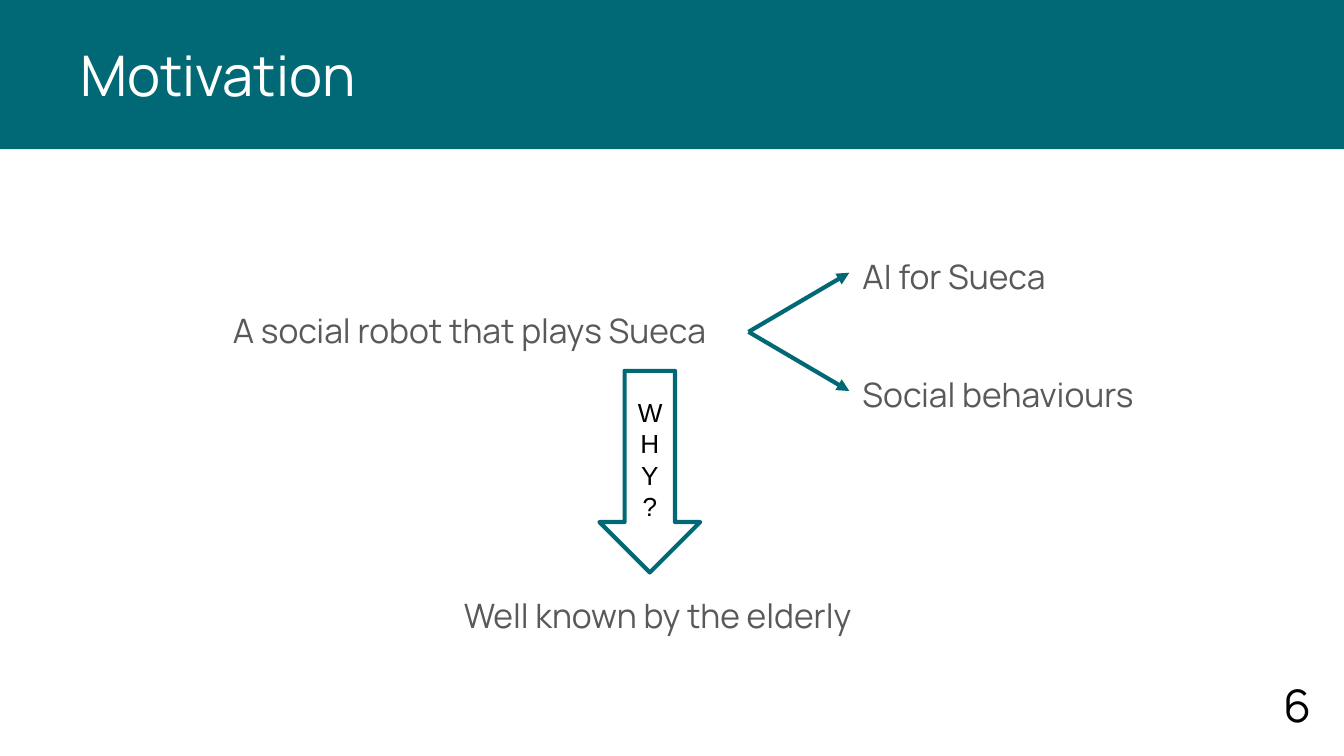
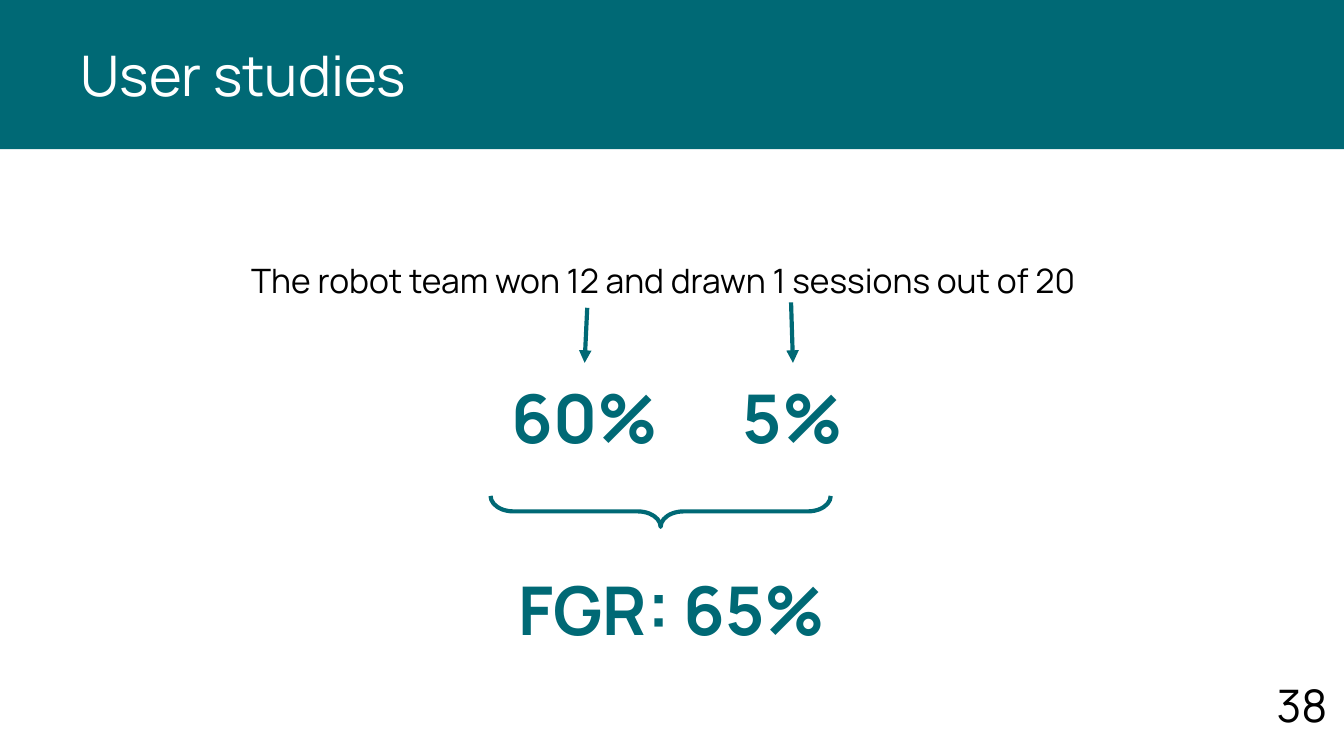
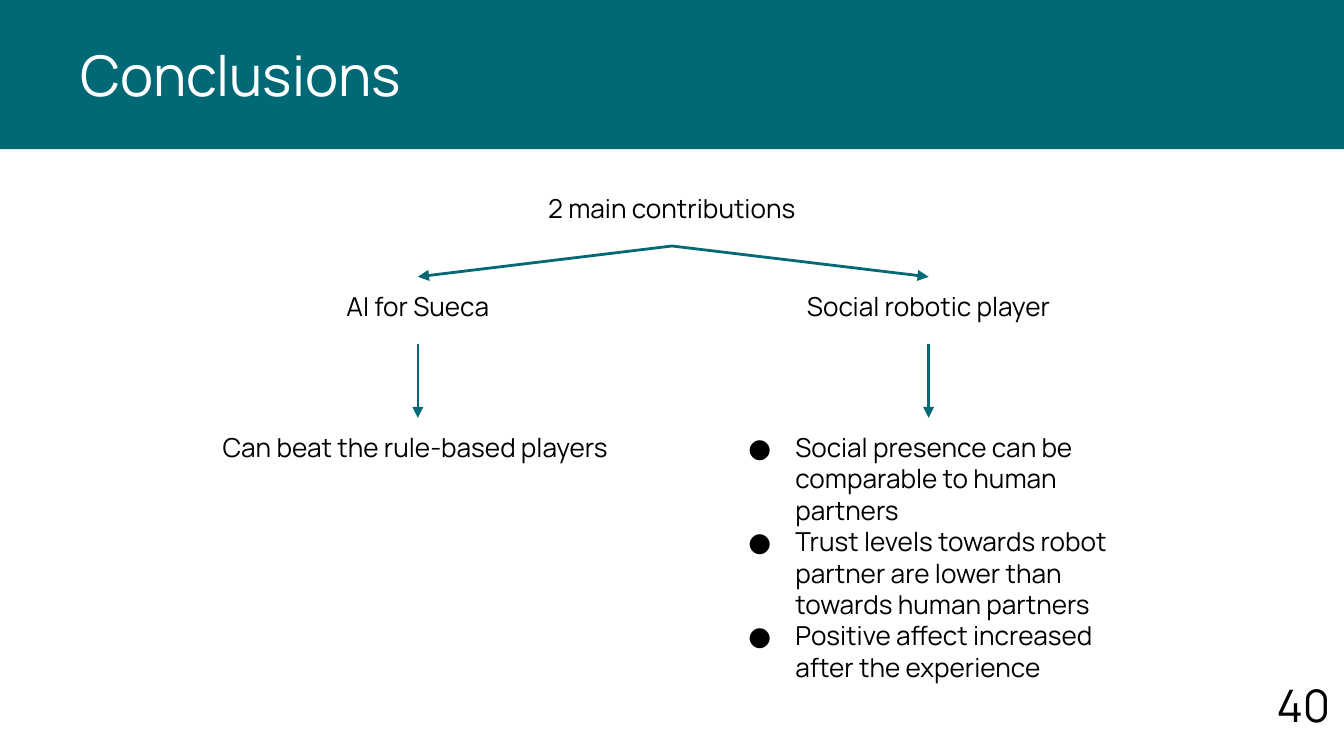
from lxml import etree
from pptx import Presentation
from pptx.dml.color import RGBColor
from pptx.enum.shapes import MSO_CONNECTOR as LINE, MSO_SHAPE as SHAPE
from pptx.enum.text import MSO_ANCHOR as ANCHOR, PP_ALIGN as ALIGN
from pptx.oxml import parse_xml
from pptx.oxml.ns import nsdecls, qn
from pptx.util import Pt

TEAL = RGBColor(0x00, 0x69, 0x75)
GREY = RGBColor(0x59, 0x59, 0x59)
BLACK = RGBColor(0x00, 0x00, 0x00)
WHITE = RGBColor(0xFF, 0xFF, 0xFF)
FONT = "Manrope"
PAGE_WIDTH, PAGE_HEIGHT, BAND_HEIGHT = 720, 405, 79.9
TOP, LEFT, BOTTOM, RIGHT = range(4)


def write_text(box, lines, size, color, align=ALIGN.CENTER, anchor=ANCHOR.TOP,
               bold=False, font=FONT, spacing=None):
    """Fill a shape or text box with one paragraph per line and return it."""
    frame = box.text_frame
    frame.word_wrap = True
    frame.vertical_anchor = anchor
    frame.margin_left = frame.margin_right = Pt(7.2)
    frame.margin_top = frame.margin_bottom = Pt(7.2)
    for index, line in enumerate(lines):
        para = frame.add_paragraph() if index else frame.paragraphs[0]
        para.alignment = align
        if spacing:
            para.line_spacing = spacing
        span = para.add_run()
        span.text = line
        span.font.name = font
        span.font.size = Pt(size)
        span.font.bold = bold
        span.font.color.rgb = color
    return box


def add_arrow(page, weight, target, target_side, source=None, source_side=BOTTOM, start=(0, 0)):
    """Point at a side of target, from a side of source or from a free start point."""
    arrow = page.shapes.add_connector(LINE.STRAIGHT, Pt(start[0]), Pt(start[1]), 0, 0)
    if source is not None:
        arrow.begin_connect(source, source_side)
    arrow.end_connect(target, target_side)
    arrow.line.color.rgb = TEAL
    arrow.line.width = Pt(weight)
    etree.SubElement(arrow.line._get_or_add_ln(), qn("a:tailEnd"), type="triangle")
    etree.SubElement(arrow._element.spPr, qn("a:effectLst"))


deck = Presentation()
deck.slide_width = Pt(PAGE_WIDTH)
deck.slide_height = Pt(PAGE_HEIGHT)

# Shared title band and page number
pages = []
for title, number, number_width in [
    ("Motivation", "6", 39.6),
    ("User studies", "38", 43.2),
    ("Conclusions", "40", 43.2),
]:
    page = deck.slides.add_slide(deck.slide_layouts[6])
    band = page.shapes.add_shape(SHAPE.RECTANGLE, 0, 0, Pt(PAGE_WIDTH), Pt(BAND_HEIGHT))
    band.shadow.inherit = False
    band.fill.solid()
    band.fill.fore_color.rgb = TEAL
    band.line.fill.background()
    write_text(band, [title], 30, WHITE, ALIGN.LEFT, ANCHOR.MIDDLE)
    band.text_frame.paragraphs[0]._p.get_or_add_pPr().set("indent", str(Pt(36)))
    number_box = page.shapes.add_textbox(
        Pt(PAGE_WIDTH - number_width), Pt(355.7), Pt(number_width), Pt(49))
    write_text(number_box, [number], 24, BLACK, ALIGN.LEFT)
    pages.append(page)
motivation, studies, conclusions = pages

# Motivation
robot, known = [
    write_text(motivation.shapes.add_textbox(Pt(left), Pt(top), Pt(298.8), Pt(44.6)),
               [line], 18, GREY, spacing=1.15)
    for line, left, top in [
        ("A social robot that plays Sueca", 102.2, 155.5),
        ("Well known by the elderly", 203, 308.2),
    ]
]
for line, top in [("AI for Sueca", 123.8), ("Social behaviours", 187.2)]:
    part = motivation.shapes.add_textbox(Pt(455), Pt(top), Pt(162.7), Pt(44.6))
    write_text(part, [line], 18, GREY, ALIGN.LEFT, ANCHOR.MIDDLE, spacing=1.15)
    add_arrow(motivation, 2.25, part, LEFT, robot, RIGHT)

why = motivation.shapes.add_shape(SHAPE.DOWN_ARROW, Pt(321.1), Pt(198.7), Pt(54), Pt(108))
write_text(why, "WHY?", 14, BLACK, anchor=ANCHOR.MIDDLE, font="Arial")

# User studies
sentence = studies.shapes.add_textbox(Pt(58.3), Pt(131.8), Pt(594), Pt(49.7))
write_text(sentence, ["The robot team won 12 and drawn 1 sessions out of 20"], 18, BLACK)
for share, left, start in [("60%", 262.8, (314.6, 164.9)), ("5%", 374.4, (423.8, 162))]:
    share_box = studies.shapes.add_textbox(Pt(left), Pt(194.4), Pt(100.8), Pt(57.6))
    write_text(share_box, [share], 36, TEAL, bold=True)
    add_arrow(studies, 2.25, share_box, TOP, start=start)
total = studies.shapes.add_textbox(Pt(239), Pt(297.4), Pt(241.9), Pt(57.6))
write_text(total, ["FGR: 65%"], 36, TEAL, bold=True)

brace = studies.shapes.add_shape(SHAPE.RIGHT_BRACE, Pt(345.6), Pt(182.9), Pt(16.6), Pt(182.2))
brace.rotation = 90
brace.adjustments[0] = 0.74
brace.adjustments[1] = 0.5

for outline in (why, brace):
    outline.shadow.inherit = False
    outline.fill.background()
    outline.line.color.rgb = TEAL
    outline.line.width = Pt(2.25)

# Conclusions
contributions = conclusions.shapes.add_textbox(Pt(223.2), Pt(95.8), Pt(273.6), Pt(36))
write_text(contributions, ["2 main contributions"], 14, BLACK)
for column, (heading, findings, height, align) in enumerate([
    ("AI for Sueca", ["Can beat the rule-based players "], 53.3, ALIGN.CENTER),
    ("Social robotic player", [
        "Social presence can be comparable to human partners",
        "Trust levels towards robot partner are lower than towards human partners",
        "Positive affect increased after the experience",
    ], 145.4, ALIGN.LEFT),
]):
    shift = column * 273.6
    heading_box = conclusions.shapes.add_textbox(Pt(87.1 + shift), Pt(148.3), Pt(273.6), Pt(36))
    write_text(heading_box, [heading], 14, BLACK)
    findings_box = conclusions.shapes.add_textbox(
        Pt(109.4 + shift), Pt(223.9), Pt(229), Pt(height))
    write_text(findings_box, findings, 14, BLACK, align)
    add_arrow(conclusions, 1.5, heading_box, TOP, contributions)
    add_arrow(conclusions, 1.5, findings_box, TOP, heading_box)

# The last column is a bulleted list
for para in findings_box.text_frame.paragraphs:
    properties = para._p.get_or_add_pPr()
    properties.set("marL", str(Pt(36)))
    properties.set("indent", str(Pt(-25.2)))
    properties.append(parse_xml(
        f'<a:buClr {nsdecls("a")}><a:srgbClr val="{BLACK}"/></a:buClr>'))
    etree.SubElement(properties, qn("a:buFont"), typeface=FONT)
    etree.SubElement(properties, qn("a:buChar"), char="●")

deck.save("out.pptx")
